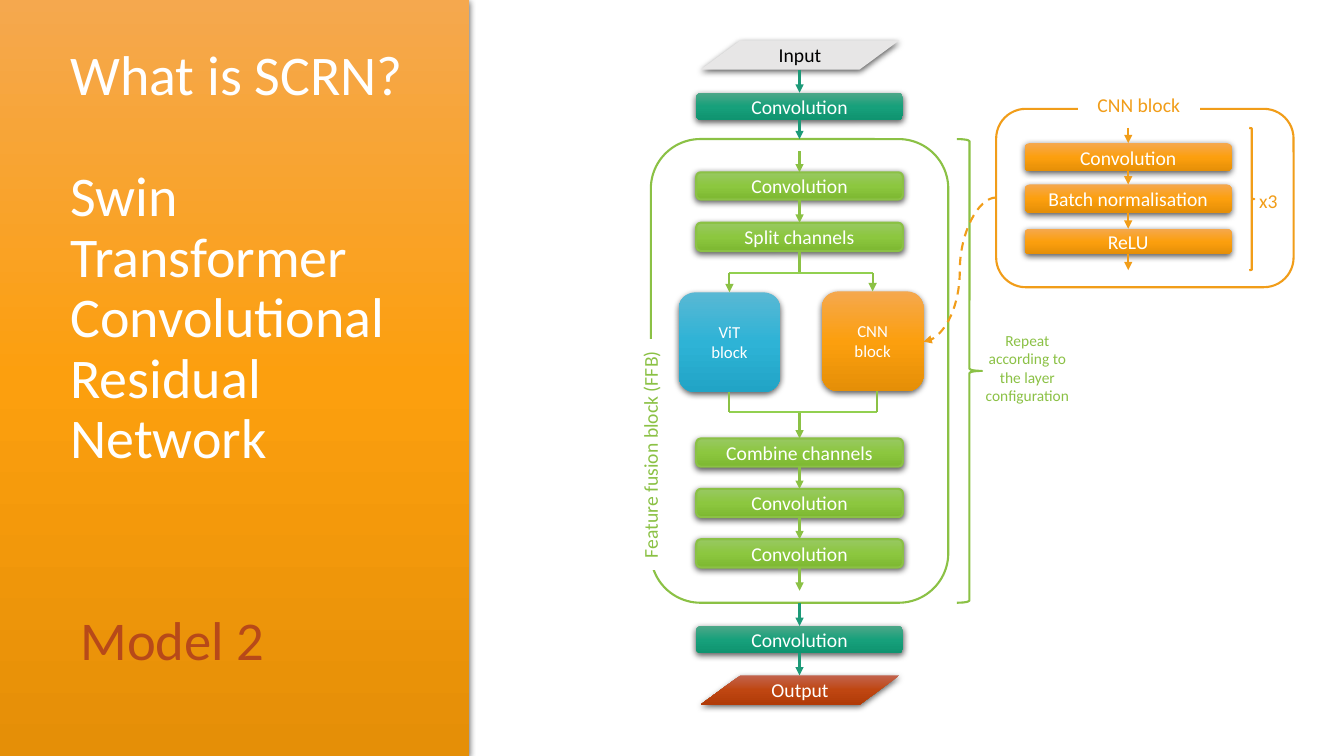
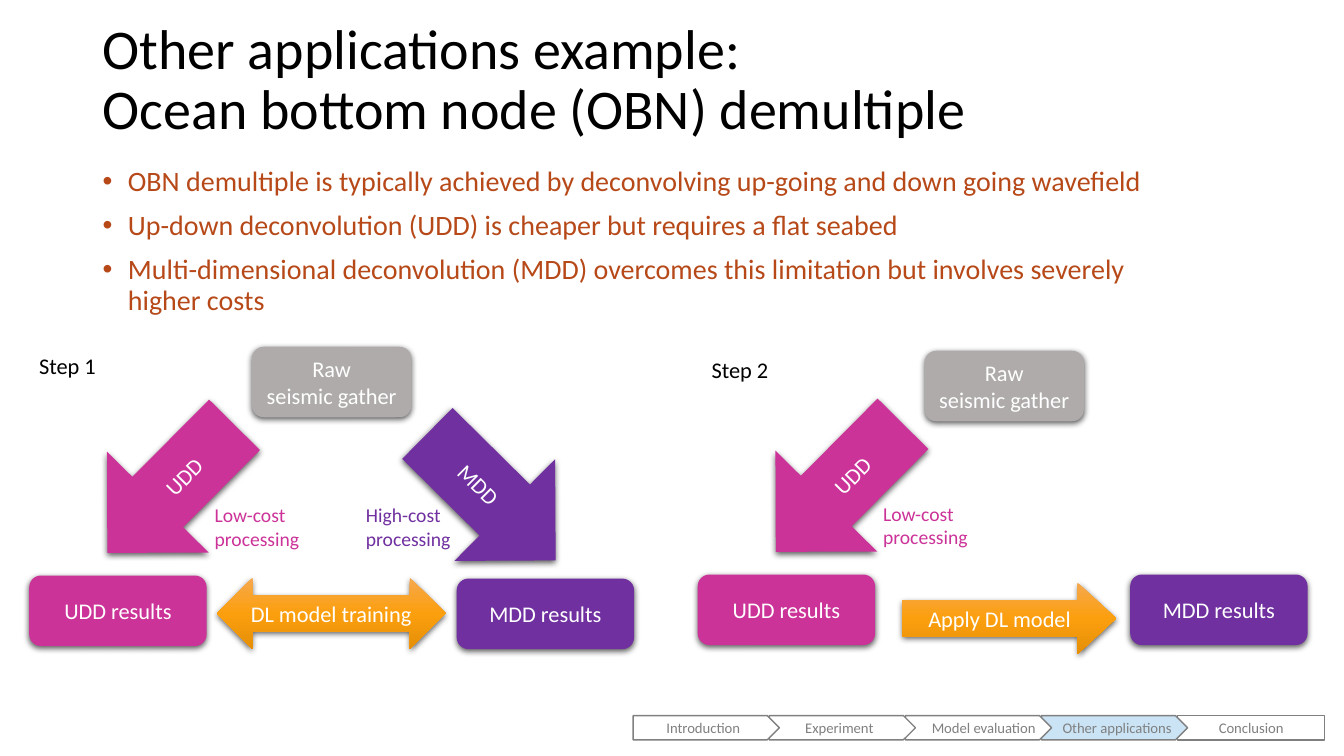
import copy
from dataclasses import dataclass
from typing import NamedTuple, Sequence, Union

import lxml.etree
import pptx
import pptx.dml.color
import pptx.enum.dml
import pptx.enum.shapes
import pptx.enum.text
import pptx.oxml.ns
import pptx.shapes.autoshape
import pptx.slide
import pptx.text.text
import pptx.util

Inches = pptx.util.Inches
Pt = pptx.util.Pt
Kind = pptx.enum.shapes.MSO_SHAPE
Wire = pptx.enum.shapes.MSO_CONNECTOR
Align = pptx.enum.text.PP_ALIGN
Anchor = pptx.enum.text.MSO_ANCHOR
Shape = pptx.shapes.autoshape.Shape
Slide = pptx.slide.Slide
qn = pptx.oxml.ns.qn


@dataclass(frozen=True)
class Theme:
    font: str = "Calibri"
    white: str = "FFFFFF"
    black: str = "000000"
    rust: str = "B74919"
    gold: str = "F19D19"
    leaf: str = "8BC145"
    lime: str = "92D050"
    teal: str = "1D9A78"
    pink: str = "CC3399"
    plum: str = "7030A0"
    stone: str = "AFABAB"
    pale: str = "E7E6E6"
    gray: str = "808080"
    sky: str = "CAE4F6"
    amber: tuple = ("F5A84E", "FC9F0E", "E58F07")
    green: tuple = ("98C862", "8CC73F", "7DB831")
    blue: tuple = ("59B8D4", "2EB3D6", "21A4C6")
    jade: tuple = ("4EA788", "17A07B", "0F9470")
    brick: tuple = ("C2634D", "BF4611", "B13B08")
    title: float = 40
    model: float = 39
    bullet: float = 20
    large: float = 16
    body: float = 14
    block: float = 12
    small: float = 11
    tab: float = 10.5


T = Theme()


class Box(NamedTuple):
    left: float
    top: float
    width: float
    height: float


class Spot(NamedTuple):
    x: float
    y: float


class Join(NamedTuple):
    shape: Shape
    side: int


class Row(NamedTuple):
    text: str
    top: float
    height: float


class Tab(NamedTuple):
    text: str
    align: Align


@dataclass(frozen=True)
class Look:
    fill: tuple = ()
    edge: str = ""
    ink: str = T.white
    size: float = T.body
    thick: float = 1.5
    shade: bool = False


End = Union[Spot, Join]


def color(value: str) -> pptx.dml.color.RGBColor:
    return pptx.dml.color.RGBColor.from_string(value)


def write(frame: pptx.text.text.TextFrame, lines: Sequence[str], size: float, ink: str,
          align: Align = Align.LEFT, anchor: Anchor = Anchor.MIDDLE,
          gap: float = 0, lead: float = 1.0, dots: bool = False) -> None:
    frame.word_wrap = True
    frame.auto_size = pptx.enum.text.MSO_AUTO_SIZE.NONE
    frame.vertical_anchor = anchor
    for index, line in enumerate(lines):
        par = frame.add_paragraph() if index else frame.paragraphs[0]
        par.text = line
        if dots:
            props = par._p.get_or_add_pPr()
            props.set("marL", str(Inches(0.25)))
            props.set("indent", str(-Inches(0.25)))
            lxml.etree.SubElement(props, qn("a:buFont"), typeface="Arial")
            lxml.etree.SubElement(props, qn("a:buChar"), char="•")
        par.alignment = align
        par.line_spacing = lead
        par.space_before = Pt(gap if index else 0)
        par.font.name = T.font
        par.font.size = Pt(size)
        par.font.color.rgb = color(ink)


def paint(shape: Shape, tones: tuple) -> None:
    if not tones:
        shape.fill.background()
    elif len(tones) == 1:
        shape.fill.solid()
        shape.fill.fore_color.rgb = color(tones[0])
    else:
        shape.fill.gradient()
        shape.fill.gradient_angle = 270
        stops = shape.element.spPr.find(".//" + qn("a:gsLst"))
        stops.append(copy.deepcopy(stops[0]))
        for index, stop in enumerate(shape.fill.gradient_stops):
            stop.color.rgb = color(tones[index])
            stop.position = index / 2


def cast(shape: Shape) -> None:
    group = shape.element.spPr.find(qn("a:effectLst"))
    outer = lxml.etree.SubElement(group, qn("a:outerShdw"), blurRad=str(Pt(4.5)),
                                  dist=str(Pt(1.5)), dir="5400000", rotWithShape="0")
    tone = lxml.etree.SubElement(outer, qn("a:srgbClr"), val=T.black)
    lxml.etree.SubElement(tone, qn("a:alpha"), val="63000")


def draw(page: Slide, kind: Kind, box: Box, look: Look, *lines: str,
         align: Align = Align.CENTER, turn: float = 0) -> Shape:
    shape = page.shapes.add_shape(kind, *map(Inches, box))
    shape.rotation = turn
    paint(shape, look.fill)
    if look.edge:
        shape.line.color.rgb = color(look.edge)
        shape.line.width = Pt(look.thick)
    else:
        shape.line.fill.background()
    shape.shadow.inherit = False
    if look.shade:
        cast(shape)
    if lines:
        write(shape.text_frame, lines, look.size, look.ink, align)
    return shape


def note(page: Slide, box: Box, lines: Sequence[str], size: float, ink: str, **style) -> None:
    write(page.shapes.add_textbox(*map(Inches, box)).text_frame, lines, size, ink, **style)


def head(page: Slide, box: Box, lines: Sequence[str], ink: str, gap: float = 0) -> None:
    title = page.shapes.title
    title.left, title.top, title.width, title.height = map(Inches, box)
    write(title.text_frame, lines, T.title, ink, gap=gap, lead=0.9)
    page.shapes.element.append(title.element)


def link(page: Slide, start: End, stop: End, ink: str, tip: bool = True,
         kind: Wire = Wire.STRAIGHT, dash: bool = False) -> None:
    ends = [Spot(0, 0) if isinstance(end, Join) else end for end in (start, stop)]
    line = page.shapes.add_connector(kind, *(Inches(v) for end in ends for v in end))
    if isinstance(start, Join):
        line.begin_connect(*start)
    if isinstance(stop, Join):
        line.end_connect(*stop)
    line.line.color.rgb = color(ink)
    line.line.width = Pt(1.5)
    if dash:
        line.line.dash_style = pptx.enum.dml.MSO_LINE.DASH
    props = line.element.spPr
    if tip:
        lxml.etree.SubElement(props.find(qn("a:ln")), qn("a:tailEnd"), type="triangle")
    lxml.etree.SubElement(props, qn("a:effectLst"))


def stack(page: Slide, mid: float, rows: Sequence[Row], look: Look, ink: str,
          start: End, stop: End, tip: bool = True) -> None:
    last = start
    for row in rows:
        box = Box(mid - 1.025, row.top, 2.05, row.height)
        shape = draw(page, Kind.ROUNDED_RECTANGLE, box, look, row.text)
        link(page, last, Join(shape, 0), ink)
        last = Join(shape, 2)
    link(page, last, stop, ink, tip)


def model(page: Slide) -> None:
    mid, side = 7.93, 11.19
    gold = Look(T.amber, shade=True)
    leaf = Look(T.green, T.leaf, shade=True)
    jade = Look(T.jade, shade=True)
    rim, ring = Look(edge=T.leaf), Look(edge=T.gold)

    draw(page, Kind.ROUNDED_RECTANGLE, Box(9.88, 1.08, 2.95, 1.77), ring)
    draw(page, Kind.RECTANGLE, Box(10.7, 0.89, 1.19, 0.3),
         Look((T.white,), T.white, T.gold), "CNN block")
    stack(page, side, [Row("Convolution", 1.42, 0.28), Row("Batch normalisation", 1.83, 0.28),
                       Row("ReLU", 2.27, 0.25)],
          gold, T.gold, Spot(side, 1.27), Spot(side, 2.68))
    draw(page, Kind.RIGHT_BRACE, Box(12.39, 1.27, 0.05, 1.41), ring)
    note(page, Box(12.39, 1.83, 0.45, 0.34), ["x3"], T.body, T.gold, anchor=Anchor.TOP)

    frame = draw(page, Kind.ROUNDED_RECTANGLE, Box(mid - 1.475, 1.38, 2.95, 4.6), rim)
    label = draw(page, Kind.RECTANGLE, Box(5.28, 4.36, 2.27, 0.3),
                 Look((T.white,), T.white, T.leaf), "Feature fusion block (FFB)", turn=270)
    label.text_frame.paragraphs[0].line_spacing = Pt(21.6)
    stack(page, mid, [Row("Convolution", 1.71, 0.27), Row("Split channels", 2.21, 0.28)],
          leaf, T.leaf, Spot(mid, 1.5), Spot(mid, 2.71), tip=False)
    stack(page, mid, [Row("Combine channels", 4.35, 0.28), Row("Convolution", 4.85, 0.28),
                      Row("Convolution", 5.35, 0.28)],
          leaf, T.leaf, Spot(mid, 4.09), Spot(mid, 5.86))

    vit = draw(page, Kind.ROUNDED_RECTANGLE, Box(6.73, 2.9, 1.01, 0.99),
               Look(T.blue, size=T.block, shade=True), "ViT", "block")
    cnn = draw(page, Kind.ROUNDED_RECTANGLE, Box(8.15, 2.89, 1.01, 0.99),
               Look(T.amber, size=T.block, shade=True), "CNN", "block")
    for y, right in ((2.71, 8.66), (4.09, 8.7)):
        link(page, Spot(7.23, y), Spot(right, y), T.lime, tip=False)
    link(page, Spot(7.235, 2.71), Join(vit, 0), T.leaf)
    link(page, Spot(8.655, 2.71), Join(cnn, 0), T.leaf)
    link(page, Join(vit, 2), Spot(7.235, 4.09), T.leaf, tip=False)
    link(page, Spot(8.7, 3.88), Spot(8.7, 4.09), T.leaf, tip=False)
    draw(page, Kind.RIGHT_BRACE, Box(9.49, 1.38, 0.25, 4.6), rim)
    note(page, Box(9.67, 3.22, 1.04, 0.86), ["Repeat according to the layer configuration"],
         T.small, T.leaf, align=Align.CENTER)

    draw(page, Kind.FLOWCHART_DATA, Box(6.95, 0.4, 1.97, 0.29),
         Look((T.pale,), ink=T.black, shade=True), "Input")
    draw(page, Kind.FLOWCHART_DATA, Box(6.95, 6.7, 1.97, 0.29),
         Look(T.brick, shade=True), "Output")
    stack(page, mid, [Row("Convolution", 0.92, 0.27)], jade, T.teal,
          Spot(mid, 0.69), Join(frame, 0))
    stack(page, mid, [Row("Convolution", 6.21, 0.27)], jade, T.teal,
          Join(frame, 2), Spot(mid, 6.7))
    link(page, Spot(9.88, 1.96), Spot(9.16, 3.39), T.gold, kind=Wire.CURVE, dash=True)

    draw(page, Kind.RECTANGLE, Box(0, 0, 4.65, 7.5), gold)
    head(page, Box(0.6, 0.81, 3.74, 3.52),
         ["What is SCRN?", "Swin Transformer Convolutional Residual Network"], T.white, 43.2)
    note(page, Box(0.7, 5.65, 3.74, 1.45), ["Model 2"], T.model, T.rust, lead=0.9)


def flat(tone: str) -> Look:
    return Look((tone,), size=T.large, shade=True)


def half(page: Slide, name: str, top: Spot, low: Spot, goal: Spot) -> None:
    note(page, Box(*top, 0.8, 0.37), [name], T.large, T.black, anchor=Anchor.TOP)
    draw(page, Kind.ROUNDED_RECTANGLE, Box(top.x + 2.21, top.y, 1.58, 0.7),
         flat(T.stone), "Raw", "seismic gather")
    draw(page, Kind.ROUNDED_RECTANGLE, Box(*low, 1.76, 0.7), flat(T.pink), "UDD results")
    draw(page, Kind.ROUNDED_RECTANGLE, Box(*goal, 1.76, 0.7), flat(T.plum), "MDD results")
    arrow = draw(page, Kind.RIGHT_ARROW, Box(low.x + 0.51, low.y - 1.57, 1.79, 1.42),
                 flat(T.pink), "UDD", turn=134.8)
    arrow.element.spPr.find(qn("a:xfrm")).set("flipV", "1")
    cost(page, Spot(low.x + 1.74, low.y - 0.77), "Low-cost", T.pink)


def cost(page: Slide, spot: Spot, level: str, ink: str) -> None:
    note(page, Box(*spot, 1.09, 0.57), [level, "processing"], T.body, ink, anchor=Anchor.TOP)


def trail(page: Slide, tabs: Sequence[Tab], now: int) -> None:
    for index, tab in reversed(list(enumerate(tabs))):
        last = index == len(tabs) - 1
        look = Look((T.sky if index == now else T.white,), T.gray, T.gray, T.tab, 1)
        draw(page, Kind.RECTANGLE if last else Kind.PENTAGON,
             Box(6.28 + 1.35 * index, 7.1, 1.46 if last else 1.45, 0.24),
             look, tab.text, align=tab.align)


def ocean(page: Slide) -> None:
    head(page, Box(0.92, 0.08, 11.5, 1.45),
         ["Other applications example:", "Ocean bottom node (OBN) demultiple"], T.black)
    half(page, "Step 1", Spot(0.29, 3.44), Spot(0.29, 5.71), Spot(4.53, 5.74))
    half(page, "Step 2", Spot(6.96, 3.48), Spot(6.92, 5.7), Spot(11.21, 5.7))
    draw(page, Kind.RIGHT_ARROW, Box(3.98, 4.22, 1.79, 1.42), flat(T.plum), "MDD", turn=44.7)
    cost(page, Spot(3.53, 4.94), "High-cost", T.plum)
    gold = Look(T.amber, size=T.large, shade=True)
    draw(page, Kind.LEFT_RIGHT_ARROW, Box(2.15, 5.73, 2.27, 0.71), gold, "DL model training")
    apply = draw(page, Kind.RIGHT_ARROW, Box(8.95, 5.78, 2.12, 0.71), gold, "Apply DL model")
    apply.adjustments[1] = 0.54
    note(page, Box(0.92, 1.61, 11.08, 1.6), [
        "OBN demultiple is typically achieved by deconvolving up-going and down going wavefield",
        "Up-down deconvolution (UDD) is cheaper but requires a flat seabed",
        "Multi-dimensional deconvolution (MDD) overcomes this limitation but involves severely higher costs",
    ], T.bullet, T.rust, anchor=Anchor.TOP, gap=10, lead=0.9, dots=True)
    trail(page, [Tab("Introduction", Align.CENTER), Tab("Experiment", Align.CENTER),
                 Tab("Model evaluation", Align.RIGHT), Tab("Other applications", Align.RIGHT),
                 Tab("Conclusion", Align.CENTER)], 3)


def main() -> None:
    deck = pptx.Presentation()
    deck.slide_width, deck.slide_height = Inches(13.33), Inches(7.5)
    for build in (model, ocean):
        build(deck.slides.add_slide(deck.slide_layouts[5]))
    deck.save("out.pptx")


if __name__ == "__main__":
    main()
